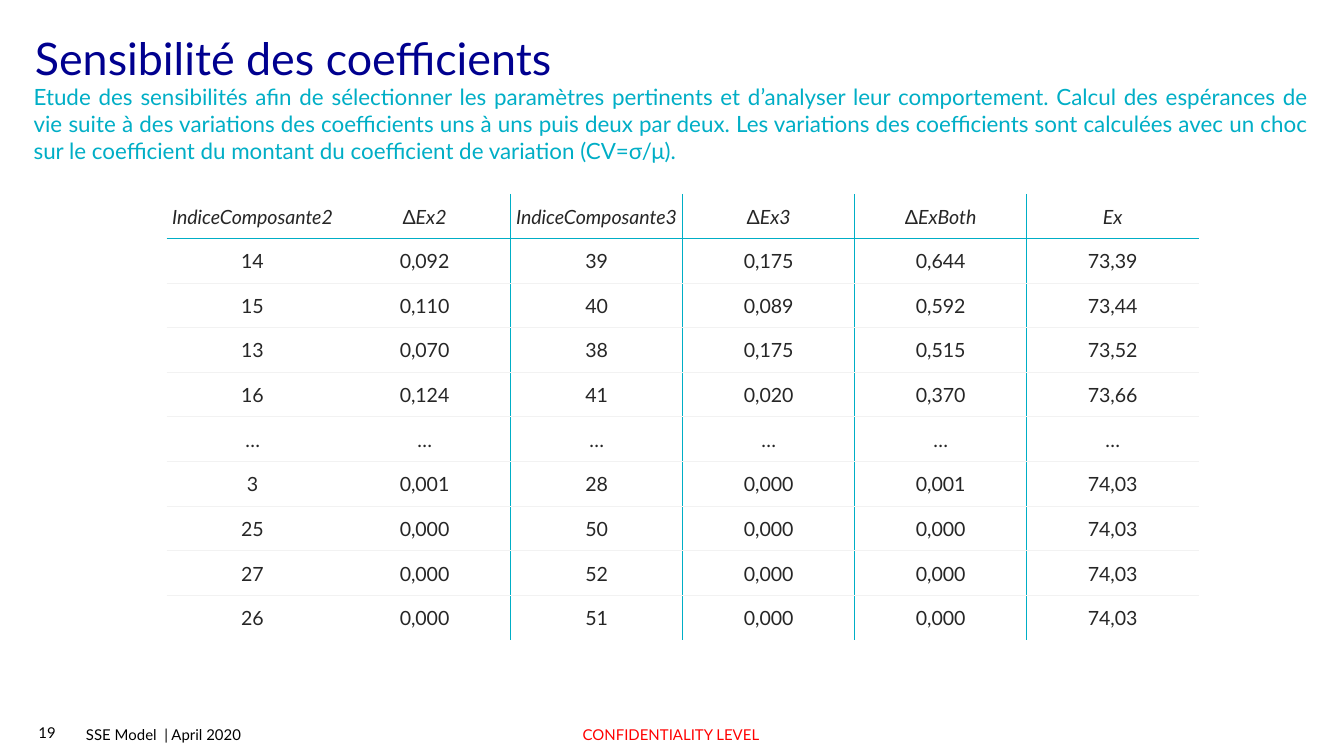
from lxml import etree
from pptx import Presentation
from pptx.dml.color import RGBColor
from pptx.enum.text import MSO_ANCHOR, MSO_AUTO_SIZE, PP_ALIGN
from pptx.oxml.ns import qn
from pptx.util import Pt

LEFT, CENTER, JUSTIFY = PP_ALIGN.LEFT, PP_ALIGN.CENTER, PP_ALIGN.JUSTIFY
MIDDLE, BOTTOM = MSO_ANCHOR.MIDDLE, MSO_ANCHOR.BOTTOM
NO_FIT = MSO_AUTO_SIZE.NONE

FONT = "Lato"
COLORS = {
    "title": "00008F",
    "accent": "00AEC6",
    "cell": "262626",
    "rule": "F2F2F2",
    "alert": "FF0000",
    "black": "000000",
    "white": "FFFFFF",
}
PLAIN_TABLE = "{2D5ABB26-0587-4C30-8999-92F81FD0307C}"
FOOTER_INSETS = (6.5, 2.9, 6.5, 2.9)
CELL_INSETS = (0.7, 0.7, 0.7, 0)
COLUMN_WIDTH, ROW_HEIGHT = 92.16, 23.9

SUBTITLE = (
    "Etude des sensibilités afin de sélectionner les paramètres pertinents et "
    "d’analyser leur comportement. Calcul des espérances de vie suite à des "
    "variations des coefficients uns à uns puis deux par deux. Les variations des "
    "coefficients sont calculées avec un choc sur le coefficient du montant du "
    "coefficient de variation (CV=σ/μ)."
)
ROWS = [
    ["IndiceComposante2", "ΔEx2", "IndiceComposante3", "ΔEx3", "ΔExBoth", "Ex"],
    ["14", "0,092", "39", "0,175", "0,644", "73,39"],
    ["15", "0,110", "40", "0,089", "0,592", "73,44"],
    ["13", "0,070", "38", "0,175", "0,515", "73,52"],
    ["16", "0,124", "41", "0,020", "0,370", "73,66"],
    ["…"] * 6,
    ["3", "0,001", "28", "0,000", "0,001", "74,03"],
    ["25", "0,000", "50", "0,000", "0,000", "74,03"],
    ["27", "0,000", "52", "0,000", "0,000", "74,03"],
    ["26", "0,000", "51", "0,000", "0,000", "74,03"],
]


def rgb(name):
    return RGBColor.from_string(COLORS[name])


def write(para, text, size=8, color="black", align=LEFT, italic=False):
    para.alignment = align
    span = para.add_run()
    span.text = text
    span.font.name = FONT
    span.font.size = Pt(size)
    span.font.italic = italic
    span.font.color.rgb = rgb(color)


def set_insets(holder, insets):
    (holder.margin_left, holder.margin_top,
     holder.margin_right, holder.margin_bottom) = map(Pt, insets)


def add_border(cell, side, color, width):
    properties = cell._tc.get_or_add_tcPr()
    line = etree.SubElement(properties, qn(f"a:ln{side}"), w=str(Pt(width)))
    fill = etree.SubElement(line, qn("a:solidFill"))
    etree.SubElement(fill, qn("a:srgbClr"), val=COLORS[color])


class PageBuilder:
    def __init__(self, page):
        self.page = page

    def fill_frame(self, frame, text, anchor, insets, **style):
        frame.word_wrap = True
        frame.auto_size = NO_FIT
        frame.vertical_anchor = anchor
        set_insets(frame, insets)
        write(frame.paragraphs[0], text, **style)

    def title(self, text, left, top, width, height, **style):
        box = self.page.shapes.title
        box.left, box.top, box.width, box.height = map(Pt, (left, top, width, height))
        self.fill_frame(box.text_frame, text, MIDDLE, (0, 0, 0, 0), **style)

    def text(self, text, left, top, width, height,
             anchor=MIDDLE, insets=FOOTER_INSETS, **style):
        box = self.page.shapes.add_textbox(*map(Pt, (left, top, width, height)))
        self.fill_frame(box.text_frame, text, anchor, insets, **style)

    def table(self, rows, left, top):
        row_count, column_count = len(rows), len(rows[0])
        holder = self.page.shapes.add_table(
            row_count, column_count, Pt(left), Pt(top),
            Pt(COLUMN_WIDTH * column_count), Pt(ROW_HEIGHT * row_count))
        table = holder.table
        table.first_row = table.horz_banding = False
        next(table._tbl.iter(qn("a:tableStyleId"))).text = PLAIN_TABLE
        for column in table.columns:
            column.width = Pt(COLUMN_WIDTH)
        for r, values in enumerate(rows):
            table.rows[r].height = Pt(ROW_HEIGHT)
            for c, value in enumerate(values):
                self.cell(table.cell(r, c), value, r, c, row_count - 1)

    def cell(self, cell, value, r, c, last_row):
        cell.vertical_anchor = MIDDLE
        set_insets(cell, CELL_INSETS)
        if c in (2, 4):
            add_border(cell, "L", "accent", 1)
        if c in (1, 3):
            add_border(cell, "R", "accent", 1)
        if r > 0:
            add_border(cell, "T", *(("accent", 1) if r == 1 else ("rule", 0.5)))
        if r < last_row:
            add_border(cell, "B", *(("accent", 1) if r == 0 else ("rule", 0.5)))
        cell.fill.solid()
        cell.fill.fore_color.rgb = rgb("white")
        para = cell.text_frame.paragraphs[0]
        parts = ["Δ", value[1:]] if value.startswith("Δ") else [value]
        for part in parts:
            write(para, part, size=10.5, color="cell", align=CENTER,
                  italic=r == 0 and part != "Δ")


def main():
    deck = Presentation()
    deck.slide_width, deck.slide_height = Pt(720), Pt(405)
    page = PageBuilder(deck.slides.add_slide(deck.slide_layouts[5]))
    page.text("19", 0.7, 383, 49, 19.4, align=CENTER)
    page.text("SSE Model  | April 2020", 39.6, 386.6, 174, 13.7)
    page.text("CONFIDENTIALITY LEVEL", 262, 386.6, 195, 13.7,
              align=CENTER, color="alert")
    page.title("Sensibilité des coefficients", 18.7, 16.6, 695, 28,
               size=24, color="title")
    page.text(SUBTITLE, 18, 44, 683.3, 44, anchor=BOTTOM, insets=(0, 0, 0, 0),
              size=12, color="accent", align=JUSTIFY)
    page.table(ROWS, 89.2, 103.8)
    deck.save("out.pptx")


if __name__ == "__main__":
    main()
